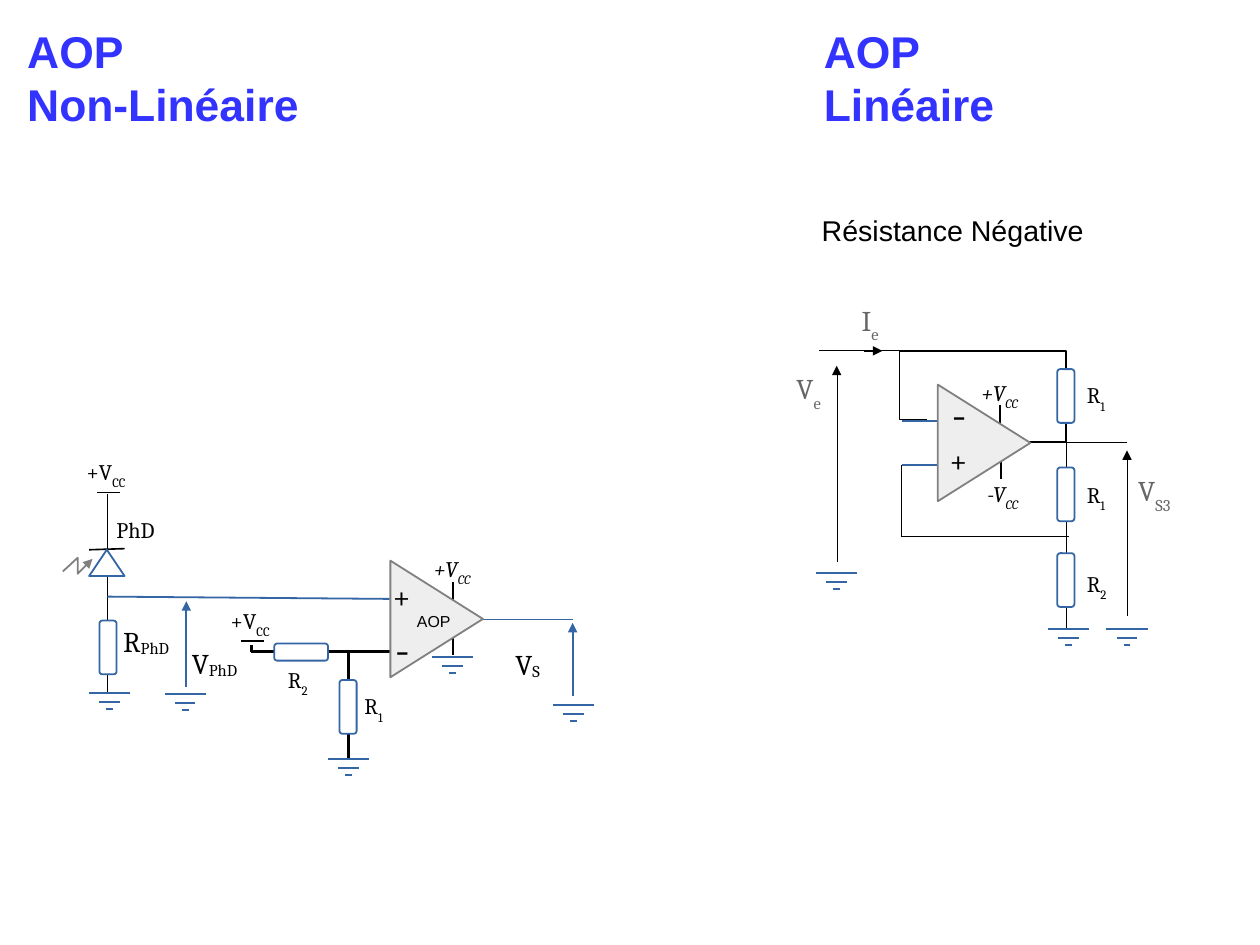
from dataclasses import dataclass

from lxml import etree
from pptx import Presentation
from pptx.dml.color import RGBColor
from pptx.enum.shapes import MSO_CONNECTOR, MSO_SHAPE
from pptx.enum.text import MSO_ANCHOR, MSO_AUTO_SIZE, PP_ALIGN
from pptx.oxml.ns import qn
from pptx.util import Inches, Pt

STRAIGHT = MSO_CONNECTOR.STRAIGHT
TRIANGLE = MSO_SHAPE.ISOSCELES_TRIANGLE
ROUNDED = MSO_SHAPE.ROUNDED_RECTANGLE

BLACK = RGBColor(0x00, 0x00, 0x00)
WHITE = RGBColor(0xFF, 0xFF, 0xFF)
BLUE = RGBColor(0x34, 0x65, 0xA4)
TITLE_BLUE = RGBColor(0x33, 0x33, 0xFF)
GREY = RGBColor(0x80, 0x80, 0x80)
DARK_GREY = RGBColor(0x66, 0x66, 0x66)
LIGHT_GREY = RGBColor(0xEE, 0xEE, 0xEE)

HAIR, THIN, NORMAL, THICK = 0, 1.02, 1.13, 1.5
CM_PER_INCH = 2.54


@dataclass(frozen=True)
class Wire:
    x1: float
    y1: float
    x2: float
    y2: float
    color: RGBColor = BLACK
    width: float = NORMAL
    arrow: bool = False


@dataclass(frozen=True)
class Label:
    left: float
    top: float
    width: float
    height: float
    text: str
    sub: str = ""
    look: str = "small"
    drop: int = -33


# Text formats
LOOKS = {
    "small": {"name": "Cambria", "size": Pt(14)},
    "supply": {"name": "Cambria", "size": Pt(14), "italic": True},
    "signal": {"name": "Cambria", "size": Pt(18)},
    "plus": {"name": "Cambria", "size": Pt(20)},
    "minus": {"name": "Cambria", "size": Pt(28)},
    "tag": {"name": "Arial", "size": Pt(10)},
    "caption": {"name": "Arial", "size": Pt(18)},
    "title": {"name": "Arial", "size": Pt(28), "bold": True},
    "grey signal": {"name": "Cambria", "size": Pt(18)},
}
LOOK_COLORS = {"title": TITLE_BLUE, "grey signal": DARK_GREY}

WIRES = [
    # Photodiode branch
    Wire(0.85, 4.31, 1.05, 4.31, width=THIN),
    Wire(0.94, 4.32, 0.94, 6.06, width=THIN),
    Wire(0.78, 4.81, 1.09, 4.8, width=THIN),
    Wire(0.94, 5.22, 3.41, 5.24, BLUE),
    Wire(1.63, 6.01, 1.63, 5.26, BLUE, arrow=True),
    # Reference divider
    Wire(2.11, 5.61, 2.31, 5.61, width=THIN),
    Wire(2.2, 5.7, 2.2, 5.64, width=THICK),
    Wire(3.43, 5.7, 2.2, 5.7, width=THICK),
    Wire(3.05, 6.64, 3.05, 5.7, width=THICK),
    # Comparator supply and output
    Wire(3.96, 5.09, 3.96, 5.25),
    Wire(3.96, 5.57, 3.96, 5.73),
    Wire(4.14, 5.42, 5.01, 5.42, BLUE),
    Wire(5.01, 6.09, 5.01, 5.45, BLUE, arrow=True),
    # Negative resistance: inputs and supply
    Wire(7.89, 3.68, 8.41, 3.68, BLUE),
    Wire(7.89, 4.07, 8.41, 4.07, BLUE),
    Wire(8.75, 3.54, 8.75, 3.7),
    Wire(8.76, 4.03, 8.76, 4.19),
    Wire(8.15, 3.07, 7.17, 3.07, width=HAIR),
    Wire(7.56, 3.07, 7.72, 3.07, width=HAIR, arrow=True),
    Wire(7.32, 4.92, 7.32, 3.2, width=HAIR, arrow=True),
    # Negative resistance: feedback and output
    Wire(9.33, 5.51, 9.33, 3.83, width=HAIR),
    Wire(9.35, 4.69, 7.89, 4.69, width=HAIR),
    Wire(7.89, 4.07, 7.89, 4.69, width=HAIR),
    Wire(9.86, 3.87, 9.09, 3.87, width=HAIR),
    Wire(9.86, 5.39, 9.86, 3.94, width=HAIR, arrow=True),
]
FEEDBACK_LOOP = [(8.11, 3.67), (7.87, 3.67), (7.87, 3.07),
                 (9.33, 3.07), (9.33, 3.87), (8.94, 3.87)]
LIGHT_RAY = [(0.55, 5), (0.68, 4.88), (0.68, 5.02), (0.81, 4.89)]
OP_AMPS = [(3.31, 5.01), (8.1, 3.47)]
UPRIGHT_RESISTORS = [(0.87, 5.43), (2.97, 5.95), (9.25, 3.23), (9.25, 4.09), (9.25, 4.84)]
GROUNDS = [(0.96, 6.06), (1.62, 6.07), (5.02, 6.17), (3.96, 5.75),
           (3.05, 6.64), (7.32, 5.01), (9.35, 5.5), (9.86, 5.5)]
GROUND_BARS = [(0, 0.18), (0.08, 0.09), (0.14, 0.03)]  # drop, half width

LABELS = [
    Label(0.14, 0.16, 2.57, 0.97, "AOP\nNon-Linéaire", look="title"),
    Label(7.11, 0.16, 1.69, 0.97, "AOP\nLinéaire", look="title"),
    Label(7.09, 1.81, 2.49, 0.38, "Résistance Négative", look="caption"),
    # Left circuit
    Label(0.66, 3.96, 0.65, 0.37, "+V", "CC"),
    Label(0.92, 4.47, 0.59, 0.33, "PhD"),
    Label(0.98, 5.41, 0.66, 0.47, "R", "PhD", "signal", -8),
    Label(1.58, 5.6, 0.66, 0.47, "V", "PhD", "signal", -8),
    Label(1.92, 5.26, 0.65, 0.37, "+V", "CC"),
    Label(2.42, 5.78, 0.61, 0.37, "R", "2"),
    Label(3.09, 6.01, 0.61, 0.37, "R", "1"),
    Label(3.34, 5, 0.43, 0.43, "+", look="plus"),
    Label(3.36, 5.38, 0.34, 0.55, "-", look="minus"),
    Label(3.55, 5.3, 0.67, 0.41, "AOP", look="tag"),
    Label(3.7, 4.81, 0.65, 0.37, "+V", "CC", "supply"),
    Label(4.41, 5.61, 0.61, 0.47, "V", "S", "signal", -8),
    # Right circuit
    Label(6.87, 3.2, 0.61, 0.47, "V", "e", "grey signal"),
    Label(7.44, 2.6, 0.61, 0.47, "I", "e", "grey signal"),
    Label(8.23, 3.33, 0.34, 0.55, "-", look="minus"),
    Label(8.21, 3.81, 0.43, 0.43, "+", look="plus"),
    Label(8.49, 3.27, 0.65, 0.37, "+V", "CC", "supply"),
    Label(8.54, 4.15, 0.55, 0.37, "-V", "CC", "supply"),
    Label(9.41, 3.29, 0.61, 0.37, "R", "1"),
    Label(9.41, 4.16, 0.61, 0.37, "R", "1"),
    Label(9.41, 4.94, 0.61, 0.37, "R", "2"),
    Label(9.86, 4.09, 0.61, 0.47, "V", "S3", "grey signal"),
]


def style_line(line, color: RGBColor, width: float, arrow: bool = False) -> None:
    line.color.rgb = color
    outline = line._get_or_add_ln()
    outline.set("w", str(Pt(width)))  # a hairline needs an explicit zero
    if arrow:
        etree.SubElement(outline, qn("a:tailEnd"), type="triangle")


def draw_wire(shapes, wire: Wire) -> None:
    ends = (Inches(v) for v in (wire.x1, wire.y1, wire.x2, wire.y2))
    link = shapes.add_connector(STRAIGHT, *ends)
    style_line(link.line, wire.color, wire.width, wire.arrow)
    etree.SubElement(link._element.spPr, qn("a:effectLst"))


def draw_route(shapes, points: list, color: RGBColor, arrow: bool = False) -> None:
    corners = [(Inches(x), Inches(y)) for x, y in points]
    builder = shapes.build_freeform(*corners[0])
    builder.add_line_segments(corners[1:], close=False)
    route = builder.convert_to_shape()
    route.shadow.inherit = False
    route.fill.background()
    style_line(route.line, color, NORMAL, arrow)


def draw_part(shapes, preset, box: tuple, fill: RGBColor, outline: RGBColor,
              turn: float = 0, corner: float = 0.5) -> None:
    part = shapes.add_shape(preset, *(Inches(v) for v in box))
    part.adjustments[0] = corner
    part.rotation = turn
    part.shadow.inherit = False
    part.fill.solid()
    part.fill.fore_color.rgb = fill
    style_line(part.line, outline, NORMAL)


def draw_ground(shapes, x: float, y: float) -> None:
    for drop, half in GROUND_BARS:
        draw_wire(shapes, Wire(x - half, y + drop, x + half, y + drop, BLUE))


def draw_label(shapes, label: Label) -> None:
    box = (label.left, label.top, label.width, label.height)
    frame = shapes.add_textbox(*(Inches(v) for v in box)).text_frame
    frame.word_wrap = False
    frame.auto_size = MSO_AUTO_SIZE.SHAPE_TO_FIT_TEXT
    frame.vertical_anchor = MSO_ANCHOR.TOP
    for i, text in enumerate(label.text.split("\n")):
        line = frame.add_paragraph() if i else frame.paragraphs[0]
        line.alignment = PP_ALIGN.LEFT
        for piece, baseline in ((text, 0), (label.sub, label.drop)):
            if not piece:
                continue
            run = line.add_run()
            run.text = piece
            for attribute, value in LOOKS[label.look].items():
                setattr(run.font, attribute, value)
            run.font.color.rgb = LOOK_COLORS.get(label.look, BLACK)
            if baseline:
                run._r.get_or_add_rPr().set("baseline", str(baseline * 1000))


def main() -> None:
    deck = Presentation()
    deck.slide_width = Inches(28 / CM_PER_INCH)
    deck.slide_height = Inches(21 / CM_PER_INCH)
    shapes = deck.slides.add_slide(deck.slide_layouts[6]).shapes

    # Wiring
    for wire in WIRES:
        draw_wire(shapes, wire)
    draw_route(shapes, FEEDBACK_LOOP, BLACK)
    draw_route(shapes, LIGHT_RAY, GREY, arrow=True)

    # Components
    for left, top in OP_AMPS:
        draw_part(shapes, TRIANGLE, (left, top, 1.02, 0.81), LIGHT_GREY, GREY, turn=90)
    draw_part(shapes, TRIANGLE, (0.78, 4.81, 0.31, 0.23), WHITE, BLUE)
    resistors = [(x, y, 0.15, 0.47) for x, y in UPRIGHT_RESISTORS] + [(2.4, 5.63, 0.47, 0.15)]
    for box in resistors:
        draw_part(shapes, ROUNDED, box, WHITE, BLUE, corner=0.17)
    for x, y in GROUNDS:
        draw_ground(shapes, x, y)

    # Titles and labels
    for label in LABELS:
        draw_label(shapes, label)
    deck.save("out.pptx")


if __name__ == "__main__":
    main()
